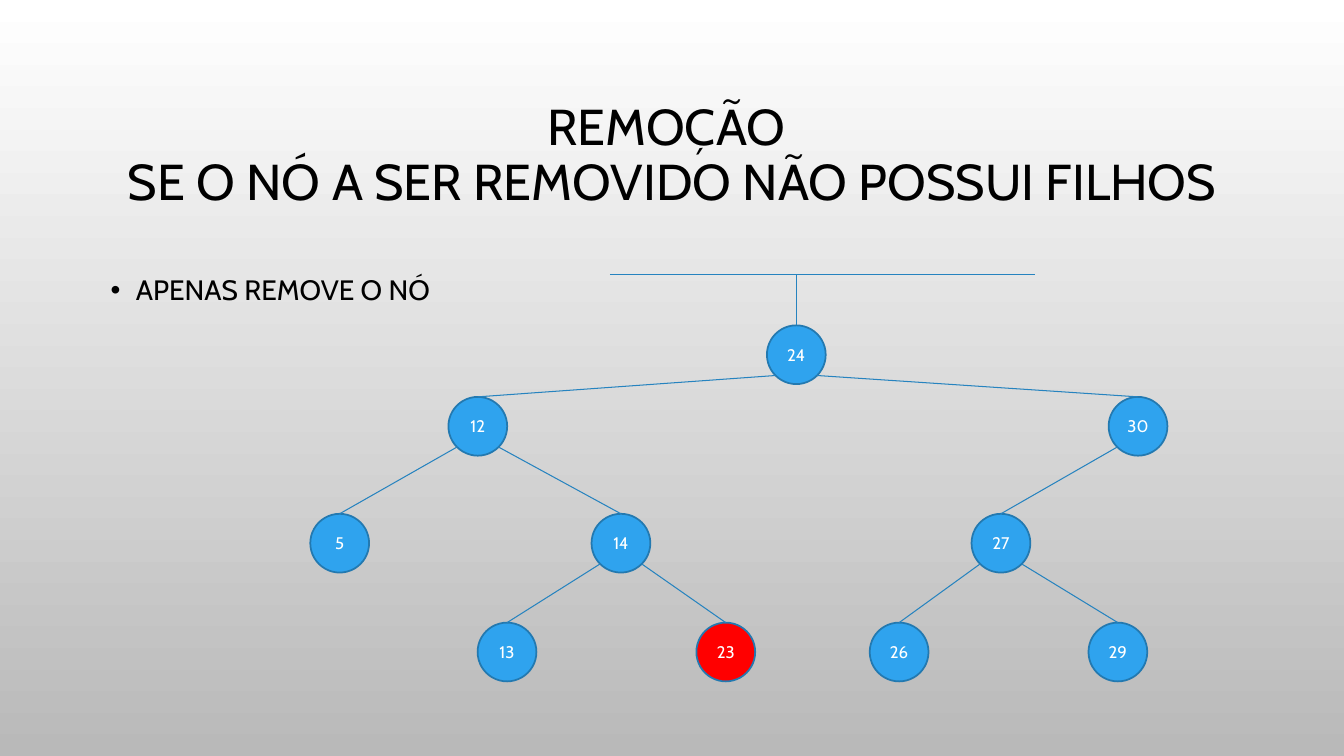
from math import sqrt
from lxml.etree import SubElement
from pptx import Presentation
from pptx.dml.color import RGBColor as Rgb
from pptx.enum.shapes import MSO_CONNECTOR as Connector, MSO_SHAPE as Shape
from pptx.enum.text import MSO_ANCHOR as Anchor, PP_ALIGN as Align
from pptx.oxml.ns import qn
from pptx.util import Inches, Pt

THEME = {
    "font": "Cabin",
    "title_size": Pt(36), "bullet_size": Pt(20), "node_size": Pt(12),
    "ink": Rgb(0x00, 0x00, 0x00), "node_ink": Rgb(0xFF, 0xFF, 0xFF),
    "node": Rgb(0x2F, 0xA3, 0xEE), "removed": Rgb(0xFF, 0x00, 0x00),
    "outline": Rgb(0x23, 0x79, 0xB0), "edge": Rgb(0x26, 0x83, 0xBF),
    "sky": Rgb(0xFF, 0xFF, 0xFF), "ground": Rgb(0xB9, 0xB9, 0xB9),
}

deck = Presentation()
deck.slide_width, deck.slide_height = Inches(13.33), Inches(7.5)
slide = deck.slides.add_slide(deck.slide_layouts[6])
CELL = deck.slide_width / 40  # square grid, 40 columns wide


def write(frame, text, size, ink, anchor, align, spacing):
    frame.word_wrap, frame.vertical_anchor = True, anchor
    paragraph = frame.paragraphs[0]
    paragraph.text = text
    for key, value in {"alignment": align, "line_spacing": spacing}.items():
        setattr(paragraph, key, value)
    for run in paragraph.runs:
        for key, value in {"name": THEME["font"], "size": size}.items():
            setattr(run.font, key, value)
        run.font.color.rgb = ink
    return paragraph


def draw_edge(*ends):
    edge = slide.shapes.add_connector(
        Connector.STRAIGHT, *(round(end * CELL) for end in ends))
    edge.line.color.rgb, edge.line.width = THEME["edge"], Pt(0.75)
    SubElement(edge._element.spPr, qn("a:effectLst"))
    return edge


# Background, light at the top
backdrop = slide.background.fill
backdrop.gradient()
backdrop.gradient_angle = 270
for stop, shade in zip(backdrop.gradient_stops, ("sky", "ground")):
    stop.color.rgb = THEME[shade]

# Title and bullet
title = slide.shapes.add_textbox(*(round(n * CELL) for n in (3, 2.04, 34, 5.25)))
write(title.text_frame, "REMOÇÃO \vSE O NÓ A SER REMOVIDO NÃO POSSUI FILHOS",
      THEME["title_size"], THEME["ink"], Anchor.MIDDLE, Align.CENTER, 0.9)

advice = slide.shapes.add_textbox(*(round(n * CELL) for n in (3, 7.77, 33.2, 11.22)))
advice_line = write(advice.text_frame, "APENAS REMOVE O NÓ",
                    THEME["bullet_size"], THEME["ink"], Anchor.TOP, Align.LEFT, 1.2)
properties = advice_line._p.get_or_add_pPr()
properties.set("marL", str(Inches(0.25)))
properties.set("indent", str(-Inches(0.25)))
SubElement(properties, qn("a:buFont"), typeface="Arial")
SubElement(properties, qn("a:buChar"), char="•")

# Tree nodes: value -> (centre column, level, parent)
LEVEL_ROWS = (10.56, 12.69, 16.17, 19.41)
DIAMETER = 1.75
TREE = {
    24: (23.7, 0, None),
    12: (14.22, 1, 24), 30: (33.87, 1, 24),
    5: (10.11, 2, 12), 14: (18.48, 2, 12), 27: (29.79, 2, 30),
    13: (15.09, 3, 14), 23: (21.6, 3, 14),
    26: (26.76, 3, 27), 29: (33.27, 3, 27),
}
REMOVED = 23
nodes = {}
for value, (column, level, _) in TREE.items():
    corner = (column - DIAMETER / 2, LEVEL_ROWS[level] - DIAMETER / 2)
    node = slide.shapes.add_shape(
        Shape.OVAL, *(round(n * CELL) for n in (*corner, DIAMETER, DIAMETER)))
    node.shadow.inherit = False
    node.fill.solid()
    node.fill.fore_color.rgb = THEME["removed" if value == REMOVED else "node"]
    node.line.color.rgb, node.line.width = THEME["outline"], Pt(1.25)
    write(node.text_frame, str(value), THEME["node_size"], THEME["node_ink"],
          Anchor.MIDDLE, Align.CENTER, 1.0)
    nodes[value] = node

# Root bar, then one edge from each parent's lower diagonal to its child's top
BAR_ROW = 8.18
draw_edge(18.15, BAR_ROW, 30.81, BAR_ROW)
diagonal = DIAMETER / 2 / sqrt(2)
for value, (column, level, parent) in TREE.items():
    if parent is None:
        start = (column, BAR_ROW)
    else:
        parent_column, parent_level, _ = TREE[parent]
        side = 1 if column > parent_column else -1
        start = (parent_column + side * diagonal, LEVEL_ROWS[parent_level] + diagonal)
    edge = draw_edge(*start, column, LEVEL_ROWS[level] - DIAMETER / 2)
    edge.end_connect(nodes[value], 0)

deck.save("out.pptx")
